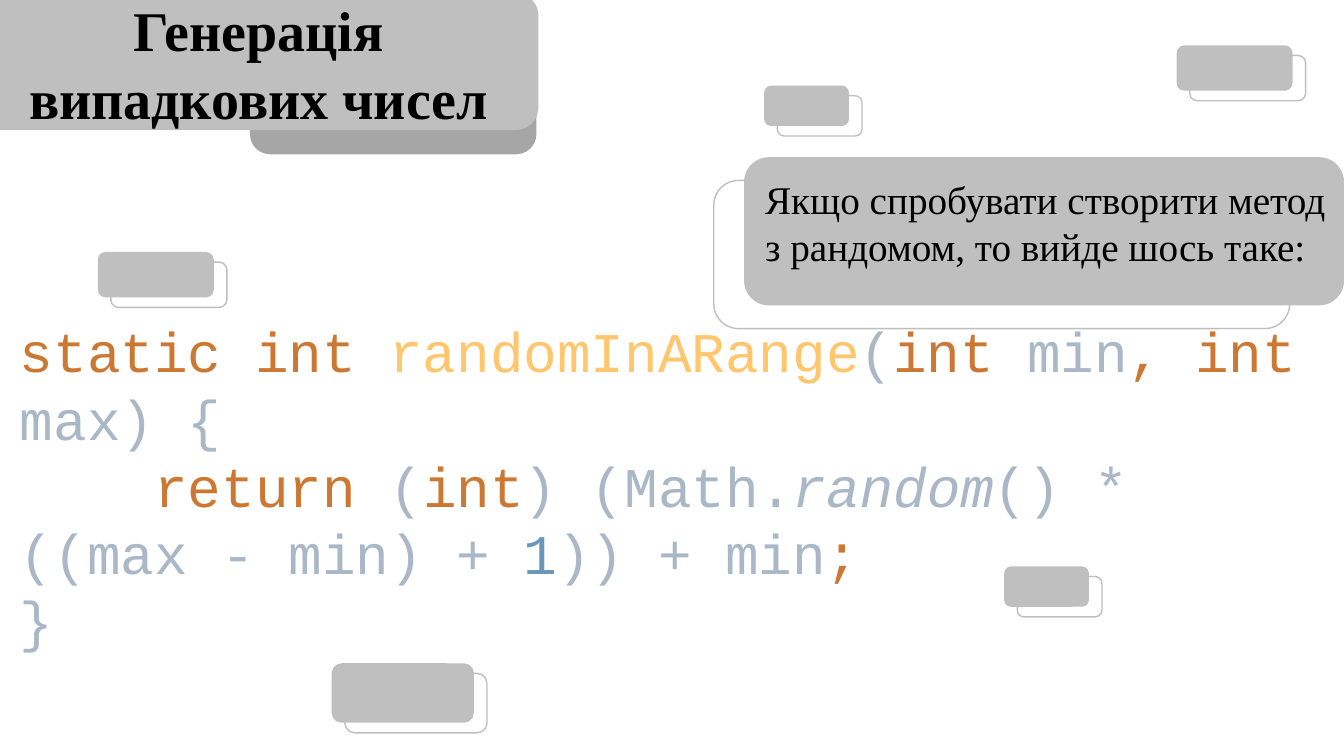
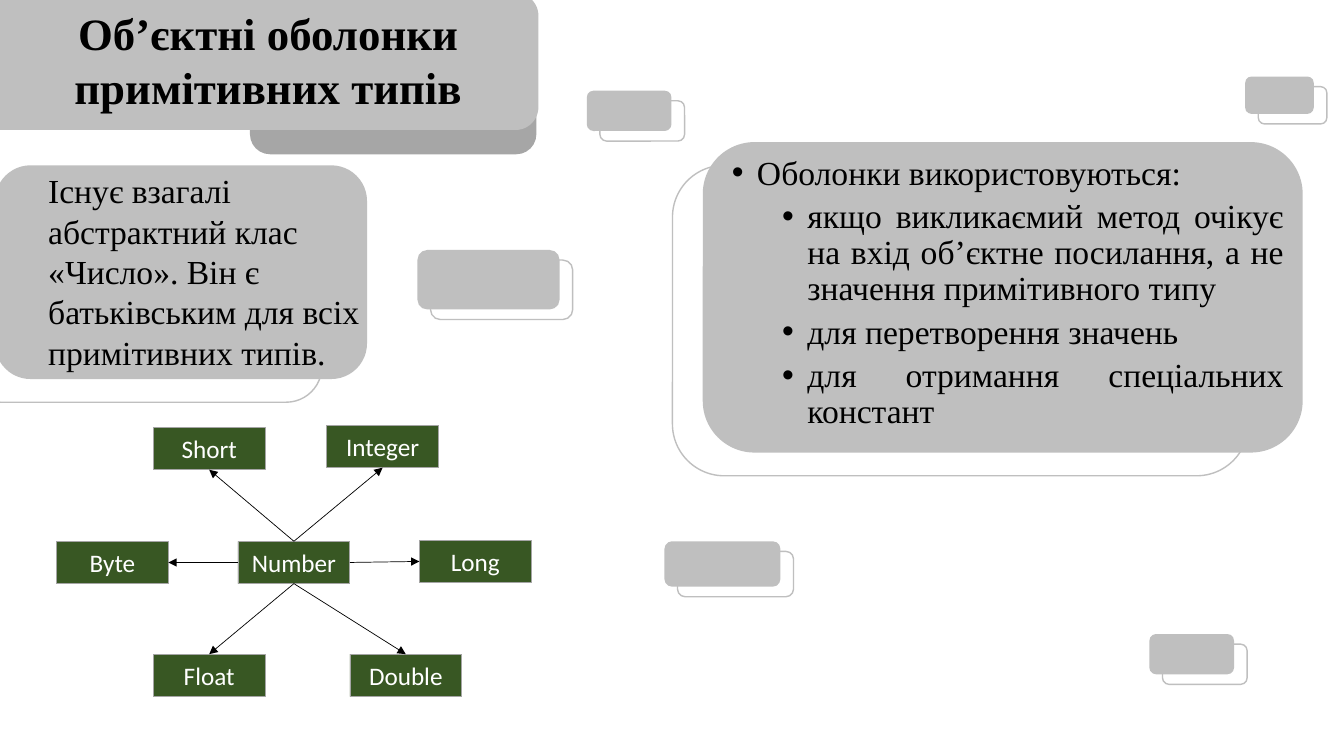
from dataclasses import dataclass

from lxml import etree
from pptx import Presentation
from pptx.dml.color import RGBColor
from pptx.enum.shapes import MSO_CONNECTOR, MSO_SHAPE
from pptx.enum.text import MSO_ANCHOR, PP_ALIGN
from pptx.oxml.ns import qn
from pptx.util import Inches, Pt

ROUND, RECT = MSO_SHAPE.ROUNDED_RECTANGLE, MSO_SHAPE.RECTANGLE
STRAIGHT = MSO_CONNECTOR.STRAIGHT
CENTER, JUSTIFY = PP_ALIGN.CENTER, PP_ALIGN.JUSTIFY
MIDDLE = MSO_ANCHOR.MIDDLE
TOP, LEFT, BOTTOM, RIGHT = range(4)


@dataclass(frozen=True)
class Theme:
    serif: str = "Times New Roman"
    sans: str = "Calibri"
    mono: str = "Courier New"
    band: str = "BFBFBF"
    shade: str = "A6A6A6"
    node: str = "385723"
    edge: str = "A5A5A5"
    ink: str = "000000"
    light: str = "FFFFFF"
    key: str = "CC7832"
    plain: str = "A9B7C6"
    func: str = "FFC66D"
    digit: str = "6897BB"
    big: int = 40
    head: int = 32
    note: int = 28
    body: int = 24
    label: int = 18


T = Theme()

# Chip sizes: width, height
TINY, SMALL, MID, LARGE = (0.68, 0.37), (0.84, 0.4), (1.15, 0.45), (1.41, 0.59)

CODE = [
    (0, [("static int ", T.key), ("randomInARange", T.func), ("(", T.plain),
         ("int ", T.key), ("min", T.plain), (", int ", T.key),
         ("max) {", T.plain)]),
    (4, [("return ", T.key), ("(", T.plain), ("int", T.key),
         (") (Math.", T.plain), ("random", T.plain, True),
         ("() * ((max - min) + ", T.plain), ("1", T.digit),
         (")) + min", T.plain), (";", T.key)]),
    (0, [("}", T.plain)]),
]

USES = [
    (0, "Оболонки використовуються:"),
    (1, "якщо викликаємий метод очікує на вхід об’єктне посилання, "
        "а не значення примітивного типу"),
    (1, "для перетворення значень"),
    (1, "для отримання спеціальних констант"),
]

# Name, left, top, side of the hub, side of the node
NODES = [
    ("Short", 1.52, 4.24, TOP, BOTTOM),
    ("Integer", 3.24, 4.22, TOP, BOTTOM),
    ("Byte", 0.56, 5.37, LEFT, RIGHT),
    ("Long", 4.16, 5.36, RIGHT, LEFT),
    ("Float", 1.52, 6.49, BOTTOM, TOP),
    ("Double", 3.47, 6.49, BOTTOM, TOP),
]


def rgb(code):
    return RGBColor.from_string(code)


def put(obj, **form):
    for name, value in form.items():
        setattr(obj, name, value)


def add_run(para, text, size, color=T.ink, font=T.serif, **form):
    run = para.add_run()
    run.text = text
    put(run.font, size=Pt(size), name=font, **form)
    run.font.color.rgb = rgb(color)


def add_box(slide, at, **form):
    """Add a wrapping text box and return its text frame."""
    frame = slide.shapes.add_textbox(*map(Inches, at)).text_frame
    put(frame, word_wrap=True, **form)
    return frame


def add_text(slide, at, text, size, align=None, **form):
    para = add_box(slide, at).paragraphs[0]
    para.alignment = align
    add_run(para, text, size, **form)


def add_paras(frame, items):
    """Yield each item with a paragraph of its own."""
    for i, item in enumerate(items):
        yield frame.add_paragraph() if i else frame.paragraphs[0], item


def add_form(slide, kind, at, fill=None, line=None, width=1):
    shape = slide.shapes.add_shape(kind, *map(Inches, at))
    shape.shadow.inherit = False
    if fill:
        shape.fill.solid()
        shape.fill.fore_color.rgb = rgb(fill)
    else:
        shape.fill.background()
    if line:
        shape.line.color.rgb = rgb(line)
        shape.line.width = Pt(width)
    else:
        shape.line.fill.background()
    return shape


def add_pair(slide, at, shift, ratio=1):
    """Add a filled block with a shifted outline of itself."""
    x, y, w, h = at
    dx, dy = shift
    add_form(slide, ROUND, at, fill=T.band)
    add_form(slide, ROUND, (x + dx, y + dy, w * ratio, h), line=T.band)


def add_panel(slide, at):
    add_pair(slide, at, (-0.3, 0.23), 0.96)


def add_chips(slide, chips):
    for x, y, size in chips:
        add_pair(slide, (x, y, *size), (0.13, 0.1))


def add_title(slide, at, text, size):
    add_form(slide, ROUND, (2.48, 0.34, 2.84, 1.19), fill=T.shade)
    add_form(slide, ROUND, (-0.21, -0.07, 5.55, 1.36), fill=T.band)
    add_text(slide, at, text, size, CENTER, bold=True)


def add_code(slide, at, lines):
    frame = add_box(slide, at, vertical_anchor=MIDDLE)
    for para, (depth, parts) in add_paras(frame, lines):
        # A monospaced letter is 0.6 em wide
        para._p.get_or_add_pPr().set("indent", str(Pt(depth * 0.6 * T.big)))
        for text, color, *slant in parts:
            add_run(para, text, T.big, color, T.mono, italic=bool(slant))


def add_list(slide, at, items):
    frame = add_box(slide, at)
    for para, (level, text) in add_paras(frame, items):
        put(para, level=level, alignment=JUSTIFY, line_spacing=0.9,
            space_before=Pt(5 if level else 10))
        props = para._p.get_or_add_pPr()
        props.set("marL", str(Inches(0.25 + 0.5 * level)))
        props.set("indent", str(Inches(-0.25)))
        etree.SubElement(props, qn("a:buFont")).set("typeface", "Arial")
        etree.SubElement(props, qn("a:buChar")).set("char", "•")
        add_run(para, text, T.body)


def add_node(slide, name, x, y):
    node = add_form(slide, RECT, (x, y, 1.11, 0.42), T.node, T.edge, 0.5)
    node.text_frame.vertical_anchor = MIDDLE
    para = node.text_frame.paragraphs[0]
    para.alignment = CENTER
    add_run(para, name, T.label, T.light, T.sans)
    return node


def add_arrow(slide, start, out, end, into):
    arrow = slide.shapes.add_connector(STRAIGHT, 0, 0, 0, 0)
    arrow.begin_connect(start, out)
    arrow.end_connect(end, into)
    arrow.line.color.rgb = rgb(T.ink)
    arrow.line.width = Pt(0.5)
    tip = etree.SubElement(arrow.line._get_or_add_ln(), qn("a:tailEnd"))
    tip.set("type", "triangle")
    etree.SubElement(arrow._element.spPr, qn("a:effectLst"))


def add_tree(slide):
    hub = add_node(slide, "Number", 2.36, 5.37)
    for name, x, y, out, into in NODES:
        add_arrow(slide, hub, out, add_node(slide, name, x, y), into)


def draw_random(slide):
    add_title(slide, (-0.09, -0.09, 5.31, 1.45),
              "Генерація випадкових чисел", T.big)
    add_panel(slide, (7.38, 1.56, 5.95, 1.47))
    add_text(slide, (7.49, 1.69, 5.84, 1.04),
             "Якщо спробувати створити метод з рандомом, "
             "то вийде шось таке:", T.note)
    add_code(slide, (0.1, 3.15, 13.13, 3.32), CODE)
    add_chips(slide, [(0.97, 2.5, MID), (11.67, 0.45, MID),
                      (7.58, 0.85, SMALL), (3.29, 6.58, LARGE),
                      (9.96, 5.62, SMALL)])


def draw_types(slide):
    add_panel(slide, (6.97, 1.41, 5.95, 3.08))
    add_panel(slide, (-0.05, 1.64, 3.69, 2.12))
    add_list(slide, (7.16, 1.5, 5.67, 2.73), USES)
    add_tree(slide)
    add_text(slide, (0.38, 1.64, 3.54, 2.12),
             "Існує взагалі абстрактний клас «Число». "
             "Він є батьківським для всіх примітивних типів.", T.body)
    add_chips(slide, [(6.59, 5.37, MID), (12.35, 0.76, TINY),
                      (5.82, 0.9, SMALL), (4.14, 2.48, LARGE),
                      (11.4, 6.29, SMALL)])
    add_title(slide, (0, 0.01, 5.32, 1.18),
              "Об’єктні оболонки примітивних типів", T.head)


def main():
    deck = Presentation()
    put(deck, slide_width=Inches(13.33), slide_height=Inches(7.5))
    for draw in (draw_random, draw_types):
        draw(deck.slides.add_slide(deck.slide_layouts[6]))
    deck.save("out.pptx")


if __name__ == "__main__":
    main()
